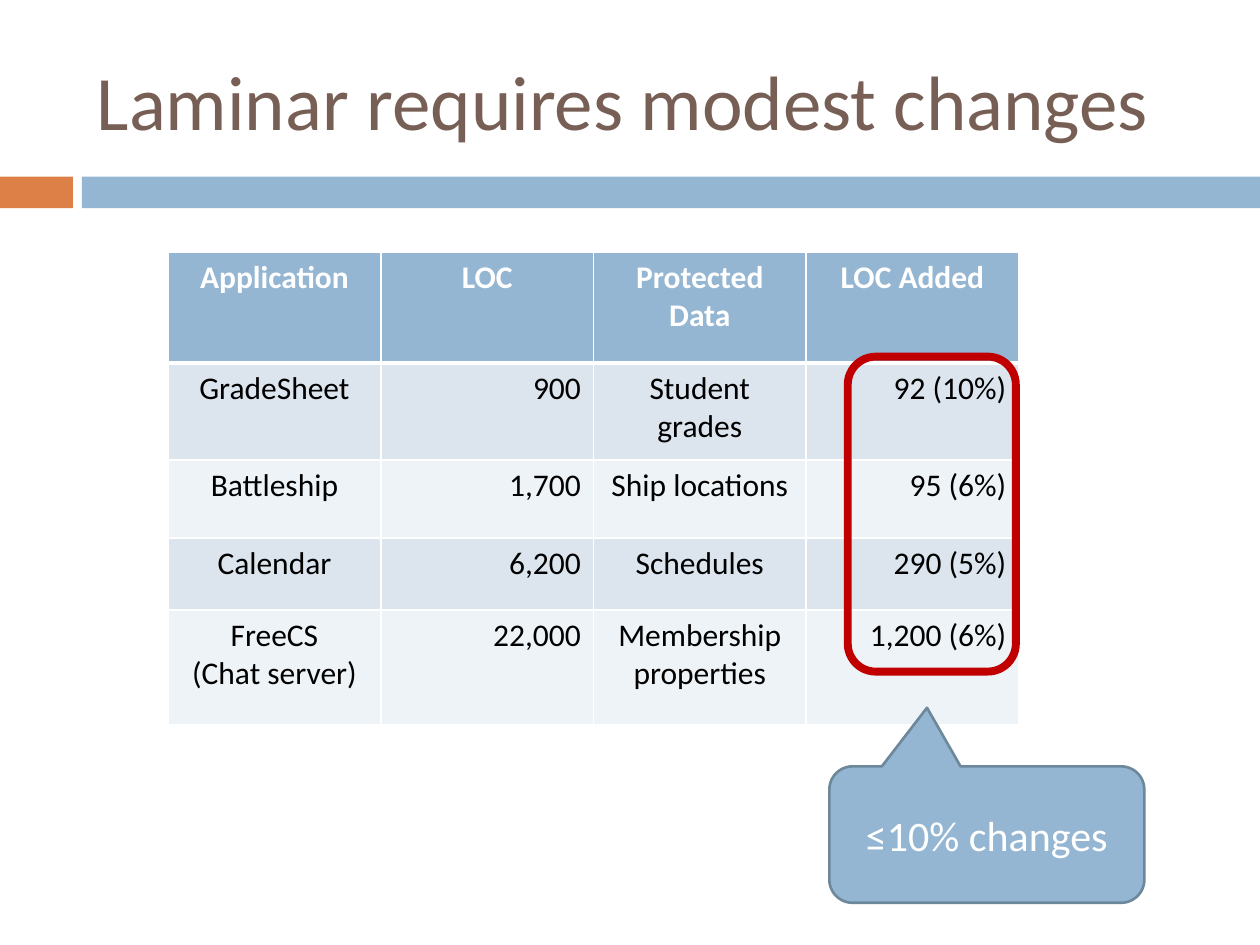
from lxml import etree
from pptx import Presentation
from pptx.dml import color
from pptx.enum import shapes, text
from pptx.oxml import ns
from pptx.util import Cm, Pt

FONT = "Calibri"
BLUE, ORANGE, BROWN, RED = "94B6D2", "DD8047", "775F55", "C00000"
WHITE, BLACK, OUTLINE = "FFFFFF", "000000", "6D879B"
BANDS = ["DCE5EE", "EEF3F7"]
CENTER, RIGHT = text.PP_ALIGN.CENTER, text.PP_ALIGN.RIGHT

ROWS = [
    ["Application", "LOC", "Protected Data", "LOC Added"],
    ["GradeSheet", "900", "Student grades", "92 (10%)"],
    ["Battleship", "1,700", "Ship locations", "95 (6%)"],
    ["Calendar", "6,200", "Schedules", "290 (5%)"],
    ["FreeCS\n(Chat server)", "22,000", "Membership properties", "1,200 (6%)"],
]
ROW_SHARES = [0.88, 0.77, 0.62, 0.57, 0.91]


def rgb(value):
    return color.RGBColor.from_string(value)


def write(frame, content, ink, align=None, **formats):
    frame.text = content
    for paragraph in frame.paragraphs:
        if align is not None:
            paragraph.alignment = align
        for name, value in {"name": FONT, **formats}.items():
            setattr(paragraph.font, name, value)
        paragraph.font.color.rgb = rgb(ink)


def add_shape(slide, kind, box, fill=None, line=None, width=0):
    shape = slide.shapes.add_shape(kind, *map(Cm, box))
    shape.shadow.inherit = False
    if fill:
        shape.fill.solid()
        shape.fill.fore_color.rgb = rgb(fill)
    else:
        shape.fill.background()
    if line:
        shape.line.color.rgb = rgb(line)
        shape.line.width = Pt(width)
    else:
        shape.line.fill.background()
    return shape


def set_borders(cell, widths):
    properties = cell._tc.get_or_add_tcPr()
    for index, (side, width) in enumerate(widths.items()):
        line = etree.Element(ns.qn(f"a:ln{side}"), w=str(Pt(width)))
        fill = etree.SubElement(line, ns.qn("a:solidFill"))
        etree.SubElement(fill, ns.qn("a:srgbClr"), val=WHITE)
        properties.insert(index, line)


def add_title(slide, box):
    frame = slide.shapes.add_textbox(*map(Cm, box)).text_frame
    frame.word_wrap = True
    frame.vertical_anchor = text.MSO_ANCHOR.MIDDLE
    write(frame, "Laminar requires modest changes", BROWN, size=Pt(44))


def add_band(slide, box):
    left, top, width, height = box
    accent, gap = 1.47, 0.18
    start = accent + gap
    rectangle = shapes.MSO_SHAPE.RECTANGLE
    add_shape(slide, rectangle, (left, top, accent, height), ORANGE)
    add_shape(slide, rectangle, (left + start, top, width - start, height), BLUE)


def add_results(slide, box):
    left, top, width, height = box
    table = slide.shapes.add_table(len(ROWS), len(ROWS[0]), *map(Cm, box)).table
    for column in table.columns:
        column.width = Cm(width / len(ROWS[0]))
    for row, share in zip(table.rows, ROW_SHARES):
        row.height = Cm(height * share / sum(ROW_SHARES))
    for row_index, values in enumerate(ROWS):
        header = row_index == 0
        for column_index, value in enumerate(values):
            cell = table.cell(row_index, column_index)
            cell.fill.solid()
            cell.fill.fore_color.rgb = rgb(BLUE if header else BANDS[(row_index - 1) % 2])
            align = RIGHT if column_index % 2 and not header else CENTER
            write(cell.text_frame, value, WHITE if header else BLACK, align,
                  size=Pt(18), bold=header)
            set_borders(cell, {"L": 1, "R": 1, "T": 3 if row_index == 1 else 1,
                               "B": 3 if header else 1})
    add_shape(slide, shapes.MSO_SHAPE.ROUNDED_RECTANGLE,
              (left + 13.7, top + 2.11, 3.39, 6.35), line=RED, width=4.5)


def add_callout(slide, box):
    shape = add_shape(slide, shapes.MSO_SHAPE.ROUNDED_RECTANGULAR_CALLOUT, box,
                      BLUE, OUTLINE, 1.5)
    for index, value in enumerate([-0.19, -0.93, 0.17]):
        shape.adjustments[index] = value
    shape.text_frame.vertical_anchor = text.MSO_ANCHOR.MIDDLE
    write(shape.text_frame, "≤10% changes", WHITE, CENTER, size=Pt(24))


def main():
    presentation = Presentation()
    presentation.slide_width, presentation.slide_height = Cm(25.4), Cm(19.05)
    slide = presentation.slides.add_slide(presentation.slide_layouts[6])
    add_band(slide, (0, 3.56, 25.4, 0.64))
    add_title(slide, (1.7, 0.64, 22.65, 2.75))
    add_results(slide, (3.39, 5.08, 17.15, 9.53))
    add_callout(slide, (16.72, 15.45, 6.35, 2.75))
    presentation.save("out.pptx")


if __name__ == "__main__":
    main()
